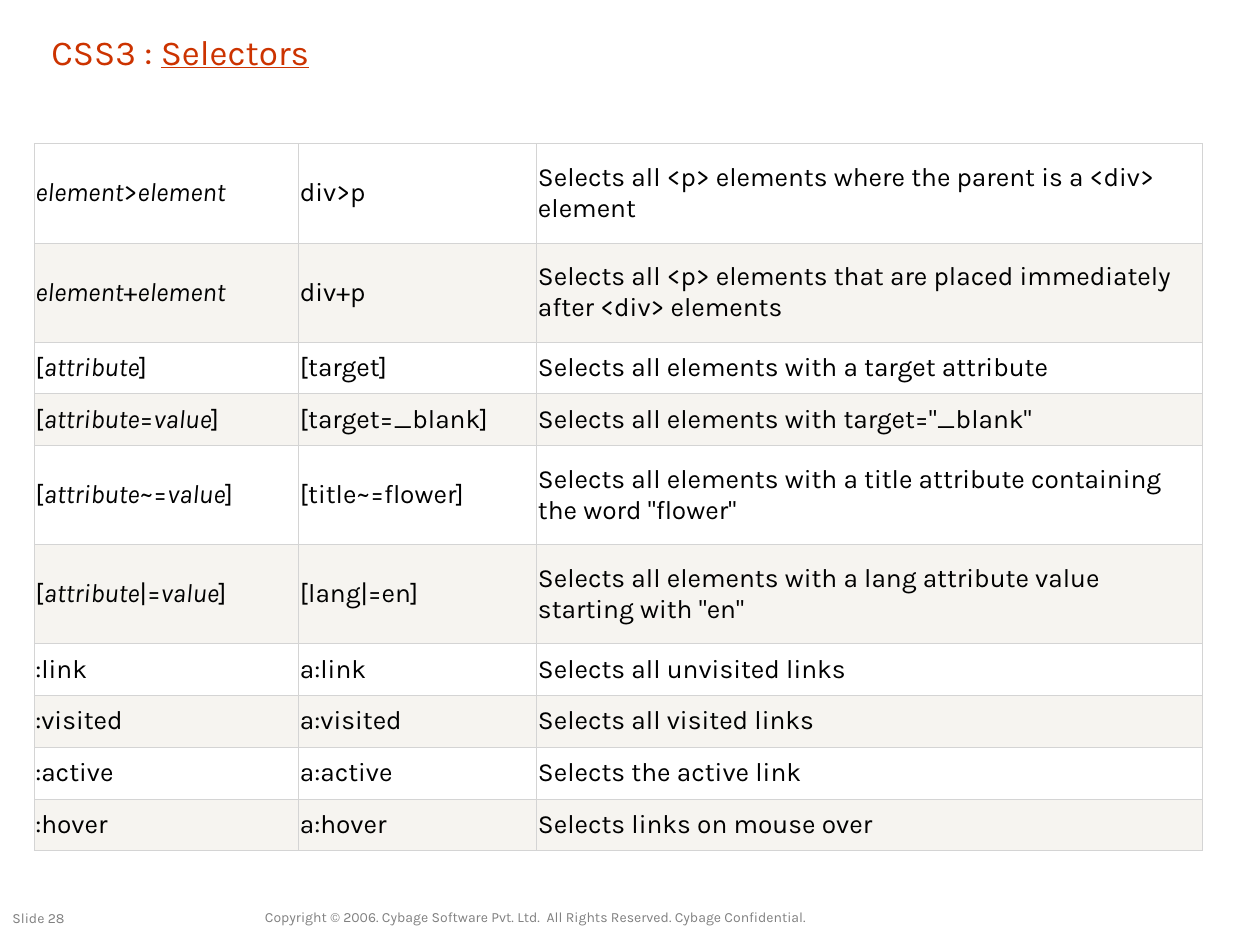
from lxml.etree import SubElement
from pptx import Presentation
from pptx.dml.color import RGBColor
from pptx.enum.text import MSO_ANCHOR, PP_ALIGN
from pptx.oxml.ns import qn
from pptx.util import Inches, Pt

GRID_UNIT = Inches(0.1)
GRID_COLUMNS, GRID_ROWS = 100, 75
FONT = "Karla"
ORANGE, GREY, BLACK = "CC3300", "808080", "000000"
BORDER, STRIPES = "D4D4D4", ("FFFFFF", "F6F4F0")
COLUMN_WIDTHS = (21, 18.9, 52.8)
SHORT_ROW, TALL_ROW = 4.11, 7.87
LINE_CAPACITY = 50
SELECTORS = [
    ("*element*>*element*", "div>p", "Selects all <p> elements where the parent is a <div> element"),
    ("*element*+*element*", "div+p",
     "Selects all <p> elements that are placed immediately after <div> elements"),
    ("[*attribute*]", "[target]", "Selects all elements with a target attribute"),
    ("[*attribute*=*value*]", "[target=_blank]", 'Selects all elements with target="_blank"'),
    ("[*attribute*~=*value*]", "[title~=flower]",
     'Selects all elements with a title attribute containing the word "flower"'),
    ("[*attribute*|=*value*]", "[lang|=en]",
     'Selects all elements with a lang attribute value starting with "en"'),
    (":link", "a:link", "Selects all unvisited links"),
    (":visited", "a:visited", "Selects all visited links"),
    (":active", "a:active", "Selects the active link"),
    (":hover", "a:hover", "Selects links on mouse over"),
]


def grid(units):
    """Convert grid units to a slide length."""
    return round(units * GRID_UNIT)


def colour(hex_code):
    """Turn a hex string into a colour."""
    return RGBColor.from_string(hex_code)


def write_text(frame, text, size=15, ink=BLACK, align=PP_ALIGN.LEFT, emphasis="italic"):
    """Write one paragraph, giving the parts between asterisks the emphasis."""
    para = frame.paragraphs[0]
    para.alignment = align
    for index, part in enumerate(text.split("*")):
        if part:
            span = para.add_run()
            span.text = part
            span.font.name = FONT
            span.font.size = Pt(size)
            span.font.color.rgb = colour(ink)
            if index % 2:
                setattr(span.font, emphasis, True)


def add_label(page, left, top, width, height, text, anchor=MSO_ANCHOR.TOP, **text_format):
    """Add a wrapped text box placed on the grid."""
    box = page.shapes.add_textbox(*map(grid, (left, top, width, height)))
    box.text_frame.word_wrap = True
    box.text_frame.vertical_anchor = anchor
    write_text(box.text_frame, text, **text_format)


def add_borders(cell):
    """Draw a thin line on all four sides of a cell."""
    properties = cell._tc.get_or_add_tcPr()
    for side in ("a:lnL", "a:lnR", "a:lnT", "a:lnB"):
        line = SubElement(properties, qn(side), w=str(Pt(0.34)))
        fill = SubElement(line, qn("a:solidFill"))
        SubElement(fill, qn("a:srgbClr"), val=BORDER)


def fill_cell(cell, text, background):
    """Set the borders, fill, margins and text of a table cell."""
    add_borders(cell)
    cell.fill.solid()
    cell.fill.fore_color.rgb = colour(background)
    cell.margin_left = cell.margin_right = Inches(0.01)
    cell.vertical_anchor = MSO_ANCHOR.MIDDLE
    write_text(cell.text_frame, text)


def add_selector_table(page, left, top):
    """Add the striped table, with tall rows for descriptions of two lines."""
    heights = [TALL_ROW if len(row[-1]) > LINE_CAPACITY else SHORT_ROW for row in SELECTORS]
    size = (sum(COLUMN_WIDTHS), sum(heights))
    table = page.shapes.add_table(
        len(SELECTORS), len(COLUMN_WIDTHS), *map(grid, (left, top, *size))).table
    table.first_row = table.horz_banding = False
    for column, width in zip(table.columns, COLUMN_WIDTHS):
        column.width = grid(width)
    for index, (row, height, texts) in enumerate(zip(table.rows, heights, SELECTORS)):
        row.height = grid(height)
        for cell, text in zip(row.cells, texts):
            fill_cell(cell, text, STRIPES[index % 2])


def main():
    """Build and save the selectors slide."""
    deck = Presentation()
    deck.slide_width, deck.slide_height = grid(GRID_COLUMNS), grid(GRID_ROWS)
    page = deck.slides.add_slide(deck.slide_layouts[6])
    add_label(page, 19.2, 71.6, 46.7, 2.6,
              "Copyright © 2006. Cybage Software Pvt. Ltd.  All Rights Reserved. Cybage Confidential.",
              size=8, ink=GREY, align=PP_ALIGN.CENTER)
    add_label(page, 0, 71.7, 9.2, 2.6, "Slide 28", size=8, ink=GREY)
    add_label(page, 3.1, 2.3, 77.5, 3.5, "CSS3 : *Selectors*", anchor=MSO_ANCHOR.MIDDLE,
              size=20, ink=ORANGE, emphasis="underline")
    add_selector_table(page, 2.7, 11.4)
    deck.save("out.pptx")


if __name__ == "__main__":
    main()
